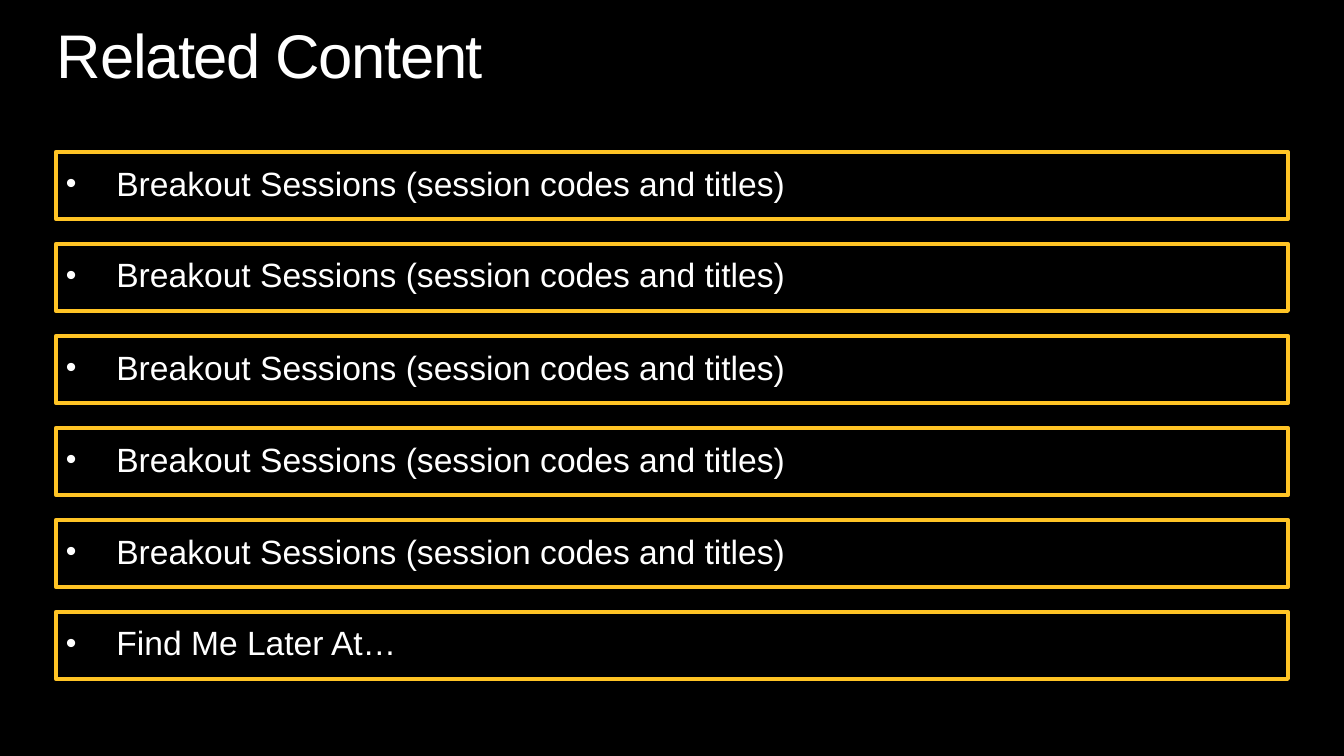
from dataclasses import dataclass

from lxml import etree
from pptx import Presentation
from pptx import util as u
from pptx.dml.color import RGBColor
from pptx.enum import shapes, text
from pptx.oxml import ns

PX = 914400 / 100.8
COLORS = {"background": "000000", "text": "FFFFFF", "border": "FFC425"}
FONT = "Arial"
FIRST_TOP, PITCH = 152, 92


def px(length: int) -> u.Emu:
    return u.Emu(round(length * PX))


def color(name: str) -> RGBColor:
    return RGBColor.from_string(COLORS[name])


@dataclass
class Session:
    label: str
    top: int
    left: int = 56
    width: int = 1232
    height: int = 67


def fill_text(frame, words: str, size: int, frame_format: dict):
    """Write one formatted paragraph and return it."""
    for attribute, value in frame_format.items():
        setattr(frame, attribute, value)
    paragraph = frame.paragraphs[0]
    paragraph.alignment = text.PP_ALIGN.LEFT
    paragraph.line_spacing = 0.9
    run = paragraph.add_run()
    run.text = words
    for attribute, value in {"name": FONT, "size": u.Pt(size), "bold": False}.items():
        setattr(run.font, attribute, value)
    run.font.color.rgb = color("text")
    return paragraph


def add_bullet(paragraph) -> None:
    """Give the paragraph a hanging bullet and relative space before."""
    properties = paragraph._p.get_or_add_pPr()
    properties.set("marL", str(u.Inches(0.5)))
    properties.set("indent", str(-u.Inches(0.5)))
    before = etree.SubElement(properties, ns.qn("a:spcBef"))
    etree.SubElement(before, ns.qn("a:spcPct"), val="20000")
    etree.SubElement(properties, ns.qn("a:buSzPct"), val="90000")
    etree.SubElement(properties, ns.qn("a:buFont"), typeface=FONT)
    etree.SubElement(properties, ns.qn("a:buChar"), char="•")


def frame_format(side: int, end: int) -> dict:
    return {
        "margin_left": px(side), "margin_right": px(side),
        "margin_top": px(end), "margin_bottom": px(end),
        "word_wrap": True,
        "auto_size": text.MSO_AUTO_SIZE.NONE,
        "vertical_anchor": text.MSO_ANCHOR.TOP,
    }


def draw_title(slide, words: str) -> None:
    title = slide.shapes.title
    for attribute, value in {"left": 57, "top": 25, "width": 1229, "height": 67}.items():
        setattr(title, attribute, px(value))
    paragraph = fill_text(title.text_frame, words, 44, frame_format(0, 0))
    paragraph.runs[0].font._element.set("spc", "-100")


def draw_session(slide, session: Session) -> None:
    box = slide.shapes.add_shape(
        shapes.MSO_SHAPE.RECTANGLE,
        px(session.left), px(session.top), px(session.width), px(session.height))
    box.shadow.inherit = False
    box.fill.background()
    box.line.color.rgb = color("border")
    box.line.width = u.Pt(3)
    add_bullet(fill_text(box.text_frame, session.label, 24, frame_format(10, 15)))


def main() -> None:
    deck = Presentation()
    deck.slide_width, deck.slide_height = px(1344), px(756)
    slide = deck.slides.add_slide(deck.slide_layouts.get_by_name("Title Only"))
    slide.background.fill.solid()
    slide.background.fill.fore_color.rgb = color("background")

    # Heading
    draw_title(slide, "Related Content")

    # Evenly spaced session boxes
    labels = ["Breakout Sessions (session codes and titles)"] * 5 + ["Find Me Later At…"]
    for row, label in enumerate(labels):
        draw_session(slide, Session(label, FIRST_TOP + row * PITCH))

    deck.save("out.pptx")


if __name__ == "__main__":
    main()
